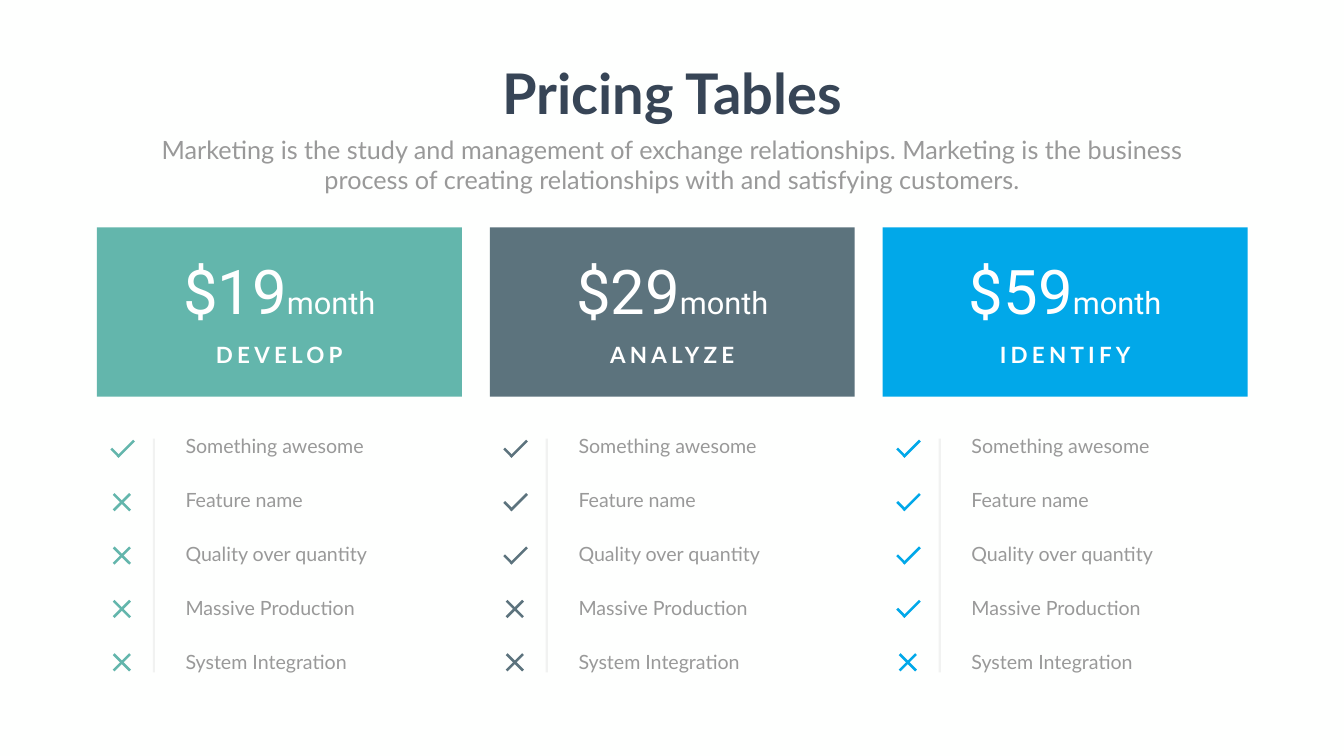
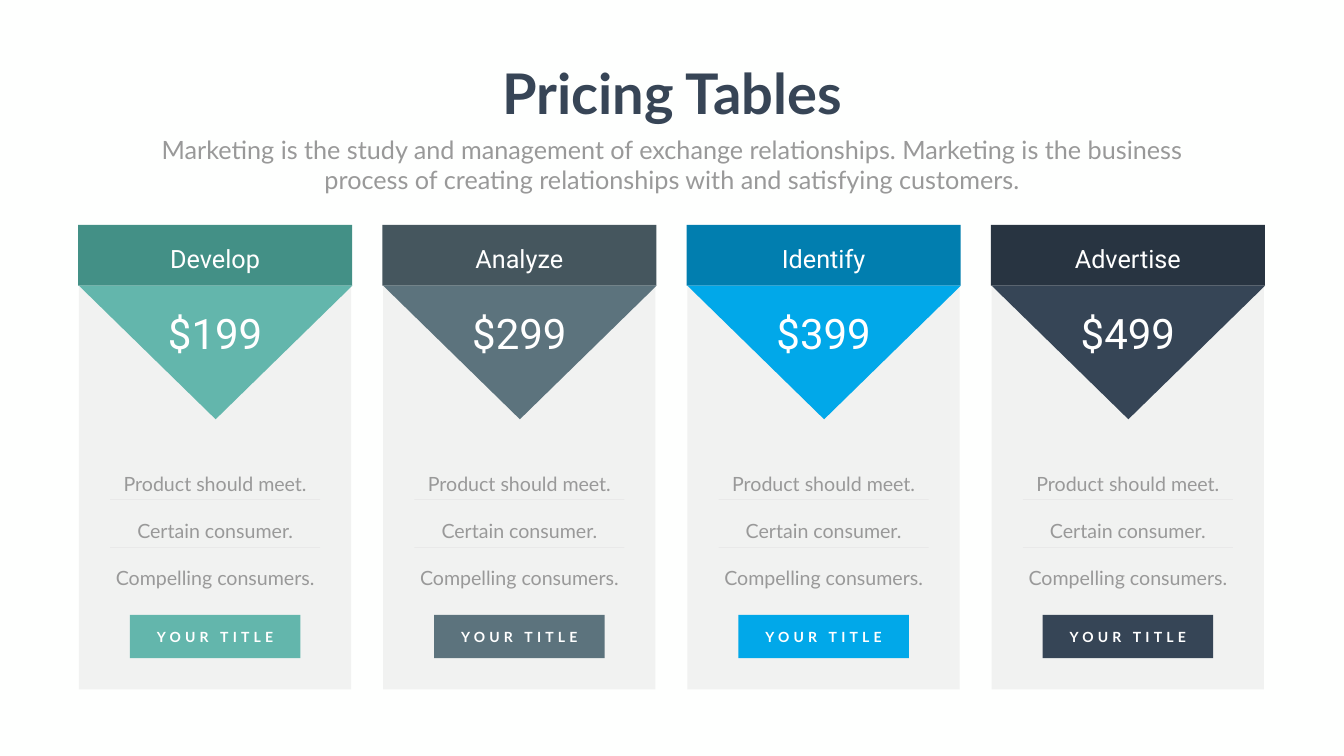
from lxml import etree
from pptx import Presentation
from pptx.dml.color import RGBColor
from pptx.enum.shapes import MSO_CONNECTOR, MSO_SHAPE
from pptx.enum.text import MSO_ANCHOR, MSO_AUTO_SIZE, PP_ALIGN
from pptx.oxml.ns import qn
from pptx.util import Cm, Pt

RECTANGLE = MSO_SHAPE.RECTANGLE
TRIANGLE = MSO_SHAPE.ISOSCELES_TRIANGLE
STRAIGHT = MSO_CONNECTOR.STRAIGHT
LEFT, CENTER = PP_ALIGN.LEFT, PP_ALIGN.CENTER
TOP, MIDDLE = MSO_ANCHOR.TOP, MSO_ANCHOR.MIDDLE
NO_AUTO_SIZE = MSO_AUTO_SIZE.NONE

COLORS = {
    "background": "FEFFFE",
    "title": "374556",
    "body": "999999",
    "white": "FFFFFF",
    "gray": "808080",
    "teal": "63B6AC",
    "teal_dark": "439086",
    "slate": "5C737D",
    "slate_dark": "45565E",
    "blue": "01A8E9",
    "blue_dark": "017EAF",
    "navy": "364556",
    "navy_dark": "283441",
}
HEADING_FONT, PRICE_FONT = "Lato", "Roboto"

TITLE = "Pricing Tables"
SUBTITLE = ("Marketing is the study and management of exchange relationships. "
            "Marketing is the business process of creating relationships with "
            "and satisfying customers.")

# Plans: name, price, colour, number of included features
PLANS = [
    ("DEVELOP", "$19", "teal", 1),
    ("ANALYZE", "$29", "slate", 3),
    ("IDENTIFY", "$59", "blue", 4),
]
FEATURES = ["Something awesome", "Feature name", "Quality over quantity",
            "Massive Production", "System Integration"]

# Offers: name, price, colour
OFFERS = [
    ("Develop", "$199", "teal"),
    ("Analyze", "$299", "slate"),
    ("Identify", "$399", "blue"),
    ("Advertise", "$499", "navy"),
]
OFFER_POINTS = ["Product should meet.", "Certain consumer.",
                "Compelling consumers."]

# Grids, in centimetres
PLAN_LEFT, PLAN_STEP, PLAN_WIDTH = 4.88, 19.8, 18.39
OFFER_CENTER, OFFER_STEP = 10.84, 15.33


def rgb(color):
    return RGBColor.from_string(COLORS[color])


def set_opacity(shape, percent):
    """Make the first solid colour of a shape or connector translucent."""
    color = shape.element.find(".//" + qn("a:srgbClr"))
    etree.SubElement(color, qn("a:alpha")).set("val", str(percent * 1000))


def write_text(text_frame, text, size, color="white", font=HEADING_FONT,
               bold=False, align=CENTER, anchor=TOP, wrap=True, tracking=0,
               line_spacing=1.0, suffix="", suffix_size=0):
    """Write one paragraph per line of text, with an optional smaller suffix."""
    text_frame.word_wrap = wrap
    text_frame.auto_size = NO_AUTO_SIZE
    text_frame.vertical_anchor = anchor
    for index, line in enumerate(text.split("\n")):
        paragraph = (text_frame.add_paragraph() if index
                     else text_frame.paragraphs[0])
        paragraph.alignment = align
        paragraph.line_spacing = line_spacing
        paragraph.space_before = Pt(0)
        for content, points in ((line, size), (suffix, suffix_size)):
            if not content:
                continue
            run = paragraph.add_run()
            run.text = content
            run.font.name = font
            run.font.size = Pt(points)
            run.font.bold = bold
            run.font.color.rgb = rgb(color)
            if tracking:
                run.font._element.set("spc", str(tracking * 100))


def add_text(slide, left, top, width, height, text, size, **text_format):
    box = slide.shapes.add_textbox(Cm(left), Cm(top), Cm(width), Cm(height))
    write_text(box.text_frame, text, size, **text_format)
    return box


def add_block(slide, left, top, width, height, color, kind=RECTANGLE,
              rotation=0):
    shape = slide.shapes.add_shape(kind, Cm(left), Cm(top), Cm(width),
                                   Cm(height))
    shape.shadow.inherit = False
    shape.fill.solid()
    shape.fill.fore_color.rgb = rgb(color)
    shape.line.fill.background()
    shape.rotation = rotation
    return shape


def add_rule(slide, start, end, width, opacity):
    rule = slide.shapes.add_connector(STRAIGHT, *map(Cm, start + end))
    rule.line.color.rgb = rgb("gray")
    rule.line.width = Pt(width)
    set_opacity(rule, opacity)
    etree.SubElement(rule.element.spPr, qn("a:effectLst"))


def add_bar(slide, center_x, center_y, length, rotation, color):
    thickness = 0.13
    add_block(slide, center_x - thickness / 2, center_y - length / 2,
              thickness, length, color, rotation=rotation)


def add_check(slide, center_x, center_y, color):
    add_bar(slide, center_x - 0.33, center_y + 0.19, 0.58, 315, color)
    add_bar(slide, center_x + 0.2, center_y, 1.17, 45, color)


def add_cross(slide, center_x, center_y, color):
    for rotation in (45, 135):
        add_bar(slide, center_x, center_y, 1.17, rotation, color)


def place(placeholder, left, top, width, height):
    placeholder.left, placeholder.top = Cm(left), Cm(top)
    placeholder.width, placeholder.height = Cm(width), Cm(height)


def add_slide(presentation):
    """Add a slide with the shared title and subtitle."""
    slide = presentation.slides.add_slide(presentation.slide_layouts[0])
    title, subtitle = slide.placeholders
    place(title, 24.69, 2.84, 18.36, 3.68)
    write_text(title.text_frame, TITLE, 80, color="title", bold=True,
               wrap=False)
    place(subtitle, 7.42, 6.63, 52.88, 3.33)
    write_text(subtitle.text_frame, SUBTITLE, 36, color="body")
    return slide


def add_plan(slide, left, name, price, color, included):
    # Coloured card with price and name
    center = left + PLAN_WIDTH / 2
    add_block(slide, left, 11.46, PLAN_WIDTH, 8.53, color)
    add_text(slide, center - 5.2, 12.6, 10.4, 4.01, price, 88,
             font=PRICE_FONT, suffix="month", suffix_size=44)
    add_text(slide, center - 3.65, 17.07, 7.3, 1.63, name, 32, bold=True,
             wrap=False, tracking=6)

    # Feature list with marks
    rule_x = left + 2.87
    add_rule(slide, (rule_x, 22.1), (rule_x, 33.88), 3, 10)
    for row, feature in enumerate(FEATURES):
        add_text(slide, left + 4.22, 21.74 + 2.72 * row, 11.25, 1.45, feature,
                 28, color="body", align=LEFT)
        add_mark = add_check if row < included else add_cross
        add_mark(slide, left + 1.26, 22.62 + 2.69 * row, color)


def add_offer(slide, center, name, price, color):
    # Panel with its list of points
    panel = add_block(slide, center - 6.86, 12.29, 13.72, 22.45, "gray")
    set_opacity(panel, 10)
    points = add_text(slide, center - 5.9, 22.28, 11.8, 7.42,
                      "\n".join(OFFER_POINTS), 28, color="body",
                      line_spacing=2.0)
    frame = points.text_frame
    frame.margin_left = frame.margin_right = Cm(0.61)
    frame.margin_top = frame.margin_bottom = Cm(0.3)
    for rule_y in (25.17, 27.58):
        add_rule(slide, (center - 5.29, rule_y), (center + 5.29, rule_y),
                 0.5, 20)

    # Header band
    header = add_block(slide, center - 6.9, 11.33, 13.8, 3.07,
                       color + "_dark")
    header.text_frame.margin_top = Cm(0.48)
    write_text(header.text_frame, name, 36, font=PRICE_FONT, anchor=MIDDLE)

    # Price on a downward triangle
    add_block(slide, center - 6.86, 14.4, 13.77, 6.73, color, TRIANGLE, 180)
    add_text(slide, center - 4.27, 15.37, 8.54, 2.82, price, 60,
             font=PRICE_FONT)

    # Button
    button = add_block(slide, center - 4.3, 30.99, 8.6, 2.18, color)
    write_text(button.text_frame, "YOUR TITLE", 20, bold=True, anchor=MIDDLE,
               wrap=False, tracking=6)


def main():
    presentation = Presentation()
    presentation.slide_width, presentation.slide_height = Cm(67.72), Cm(38.1)
    background = presentation.slide_master.background.fill
    background.solid()
    background.fore_color.rgb = rgb("background")

    # Three plans
    slide = add_slide(presentation)
    for column, plan in enumerate(PLANS):
        add_plan(slide, PLAN_LEFT + PLAN_STEP * column, *plan)

    # Four offers
    slide = add_slide(presentation)
    for column, offer in enumerate(OFFERS):
        add_offer(slide, OFFER_CENTER + OFFER_STEP * column, *offer)

    presentation.save("out.pptx")


if __name__ == "__main__":
    main()
